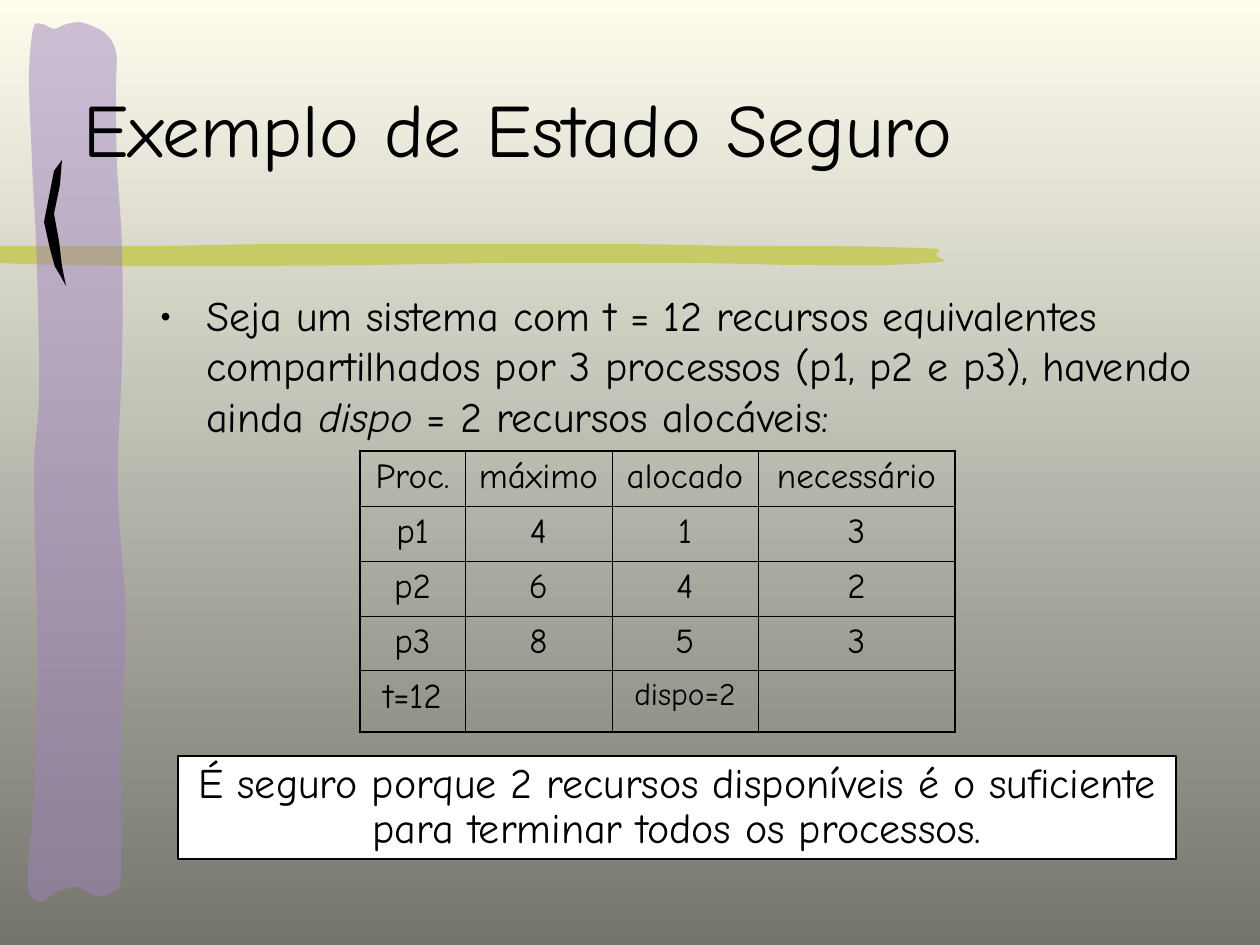
import pptx
import pptx.util
import pptx.dml.color
import pptx.enum.shapes
import pptx.enum.text
import pptx.oxml.ns
from lxml import etree

PX = 914400 // 126
FONT = "Comic Neue"
BLACK = pptx.dml.color.RGBColor(0x00, 0x00, 0x00)
WHITE = pptx.dml.color.RGBColor(0xFF, 0xFF, 0xFF)
CREAM = pptx.dml.color.RGBColor(0xFD, 0xFC, 0xED)
GREY = pptx.dml.color.RGBColor(0x75, 0x75, 0x6E)
OLIVE = pptx.dml.color.RGBColor(0xC6, 0xCB, 0x65)
PURPLE = pptx.dml.color.RGBColor(0x9F, 0x83, 0xBD)

HORIZONTAL_BRUSH = [
    (757, 246), (885, 247), (936, 249), (936, 255), (944, 260), (939, 262),
    (890, 265), (800, 265), (682, 263), (522, 263), (375, 265), (140, 266),
    (-3, 263), (-3, 263), (-4, 246), (-4, 246), (140, 246), (292, 244),
    (493, 244), (616, 244),
]
VERTICAL_BRUSH = [
    (37, 707), (37, 606), (34, 473), (39, 399), (37, 265), (32, 160),
    (29, 82), (33, 30), (42, 24), (54, 29), (67, 24), (84, 23),
    (106, 34), (116, 52), (116, 89), (117, 163), (122, 246), (122, 360),
    (118, 493), (126, 624), (121, 735), (121, 869), (116, 890), (97, 896),
    (76, 887), (55, 893), (42, 902), (29, 892), (29, 852), (34, 793),
]
BLACK_STROKE = [
    (62, 160), (60, 185), (54, 214), (59, 241), (62, 266), (66, 286),
    (60, 275), (55, 267), (50, 249), (44, 222), (49, 197), (54, 171),
]
TABLE_ROWS = [
    ["Proc.", "máximo", "alocado", "necessário"],
    ["p1", "4", "1", "3"],
    ["p2", "6", "4", "2"],
    ["p3", "8", "5", "3"],
    ["t=12", "", "dispo=2", ""],
]
COLUMN_WIDTHS = [105, 147, 146, 197]
ROW_HEIGHTS = [55, 55, 55, 55, 61]


def px(*lengths):
    return [pptx.util.Emu(length * PX) for length in lengths]


def child(parent, tag, **attributes):
    return etree.SubElement(parent, pptx.oxml.ns.qn(tag), attributes)


def format_paragraph(paragraph, size, alignment):
    paragraph.alignment = alignment
    paragraph.font.name = FONT
    paragraph.font.size = pptx.util.Pt(size)
    paragraph.font.color.rgb = BLACK


def curve_points(points):
    result = [points[0]]
    count = len(points)
    for index in range(count):
        before, start, end, after = (points[(index + k) % count] for k in (-1, 0, 1, 2))
        if start != end:
            result.append(tuple(round(b + (c - a) / 6) for a, b, c in zip(before, start, end)))
            result.append(tuple(round(c - (d - b) / 6) for b, c, d in zip(start, end, after)))
            result.append(end)
    return result


def bend_lines(shape):
    qn = pptx.oxml.ns.qn
    lines = list(shape.element.spPr.iter(qn("a:lnTo")))
    for first, second, third in zip(lines[::3], lines[1::3], lines[2::3]):
        first.tag = qn("a:cubicBezTo")
        for line in (second, third):
            first.append(line[0])
            line.getparent().remove(line)


def add_outline(slide, points, color, curved=False, opacity=100):
    vertices = curve_points(points) if curved else points
    builder = slide.shapes.build_freeform(*vertices[0], scale=PX)
    builder.add_line_segments(vertices[1:], close=True)
    shape = builder.convert_to_shape()
    if curved:
        replace_lines_with_curves(shape)
    shape.shadow.inherit = False
    shape.fill.solid()
    shape.fill.fore_color.rgb = color
    shape.line.fill.background()
    if opacity < 100:
        fill_color = shape.element.spPr.find(".//" + pptx.oxml.ns.qn("a:srgbClr"))
        child(fill_color, "a:alpha", val=str(opacity * 1000))


def replace_lines_with_curves(shape):
    qn = pptx.oxml.ns.qn
    lines = list(shape.element.spPr.iter(qn("a:lnTo")))
    for triple in zip(lines[::3], lines[1::3], lines[2::3]):
        outline = triple[0].getparent()
        curve = etree.Element(qn("a:cubicBezTo"))
        outline.insert(outline.index(triple[0]), curve)
        for line in triple:
            curve.append(line[0])
            outline.remove(line)


def set_background(slide):
    fill = slide.background.fill
    fill.gradient()
    fill.gradient_angle = 270
    for stop, position, color in zip(fill.gradient_stops, (0, 1), (CREAM, GREY)):
        stop.position = position
        stop.color.rgb = color


def set_title(slide, text):
    title = slide.shapes.title
    slide.shapes.element.append(title.element)
    title.left, title.top, title.width, title.height = px(71, 76, 1184, 103)
    title.text_frame.text = text
    title.text_frame.vertical_anchor = pptx.enum.text.MSO_ANCHOR.MIDDLE
    format_paragraph(title.text_frame.paragraphs[0], 43, pptx.enum.text.PP_ALIGN.LEFT)


def add_bullet_text(slide, runs):
    box = slide.shapes.add_textbox(*px(147, 283, 1071, 168))
    box.text_frame.word_wrap = True
    paragraph = box.text_frame.paragraphs[0]
    properties = paragraph._p.get_or_add_pPr()
    indent = 47 * PX
    properties.set("marL", str(indent))
    properties.set("indent", str(-indent))
    child(child(properties, "a:buClr"), "a:srgbClr", val=str(BLACK))
    child(properties, "a:buFont", typeface=FONT)
    child(properties, "a:buChar", char="•")
    format_paragraph(paragraph, 24, pptx.enum.text.PP_ALIGN.LEFT)
    for text, italic in runs:
        run = paragraph.add_run()
        run.text = text
        run.font.italic = italic


def set_borders(cell, outer_sides):
    properties = cell._tc.get_or_add_tcPr()
    for side, is_outer in zip("LRTB", outer_sides):
        width = pptx.util.Pt(1.08 if is_outer else 0.45)
        line = child(properties, "a:ln" + side, w=str(width))
        child(child(line, "a:solidFill"), "a:srgbClr", val=str(BLACK))


def add_process_table(slide):
    width, height = sum(COLUMN_WIDTHS), sum(ROW_HEIGHTS)
    row_count, column_count = len(ROW_HEIGHTS), len(COLUMN_WIDTHS)
    table = slide.shapes.add_table(
        row_count, column_count, *px(360, 451, width, height)).table
    table.first_row = False
    table.horz_banding = False
    for column, length in zip(table.columns, px(*COLUMN_WIDTHS)):
        column.width = length
    for row, length in zip(table.rows, px(*ROW_HEIGHTS)):
        row.height = length
    for i, texts in enumerate(TABLE_ROWS):
        for j, text in enumerate(texts):
            cell = table.cell(i, j)
            cell.text = text
            size = 18 if text.startswith("dispo") else 20
            format_paragraph(cell.text_frame.paragraphs[0], size,
                             pptx.enum.text.PP_ALIGN.CENTER)
            set_borders(cell, (j == 0, j == column_count - 1, i == 0, i == row_count - 1))
            cell.fill.background()


def add_conclusion(slide, text):
    shape = slide.shapes.add_shape(
        pptx.enum.shapes.MSO_SHAPE.RECTANGLE, *px(178, 756, 998, 103))
    shape.shadow.inherit = False
    shape.fill.solid()
    shape.fill.fore_color.rgb = WHITE
    shape.line.color.rgb = BLACK
    shape.line.width = pptx.util.Pt(0.75)
    shape.text_frame.word_wrap = True
    shape.text_frame.text = text
    paragraph = shape.text_frame.paragraphs[0]
    paragraph.line_spacing = 0.9
    format_paragraph(paragraph, 24, pptx.enum.text.PP_ALIGN.CENTER)


def main():
    presentation = pptx.Presentation()
    presentation.slide_width = pptx.util.Inches(10)
    presentation.slide_height = pptx.util.Inches(7.5)
    slide = presentation.slides.add_slide(presentation.slide_layouts[5])
    set_background(slide)
    add_outline(slide, HORIZONTAL_BRUSH, OLIVE, curved=True)
    add_outline(slide, VERTICAL_BRUSH, PURPLE, curved=True, opacity=50)
    add_outline(slide, BLACK_STROKE, BLACK)
    set_title(slide, "Exemplo de Estado Seguro")
    add_bullet_text(slide, [
        ("Seja um sistema com t = 12 recursos equivalentes compartilhados por "
         "3 processos (p1, p2 e p3), havendo ainda ", False),
        ("dispo", True),
        (" = 2 recursos alocáveis:", False),
    ])
    add_process_table(slide)
    add_conclusion(slide, "É seguro porque 2 recursos disponíveis é o suficiente "
                          "para terminar todos os processos.")
    presentation.save("out.pptx")


if __name__ == "__main__":
    main()
